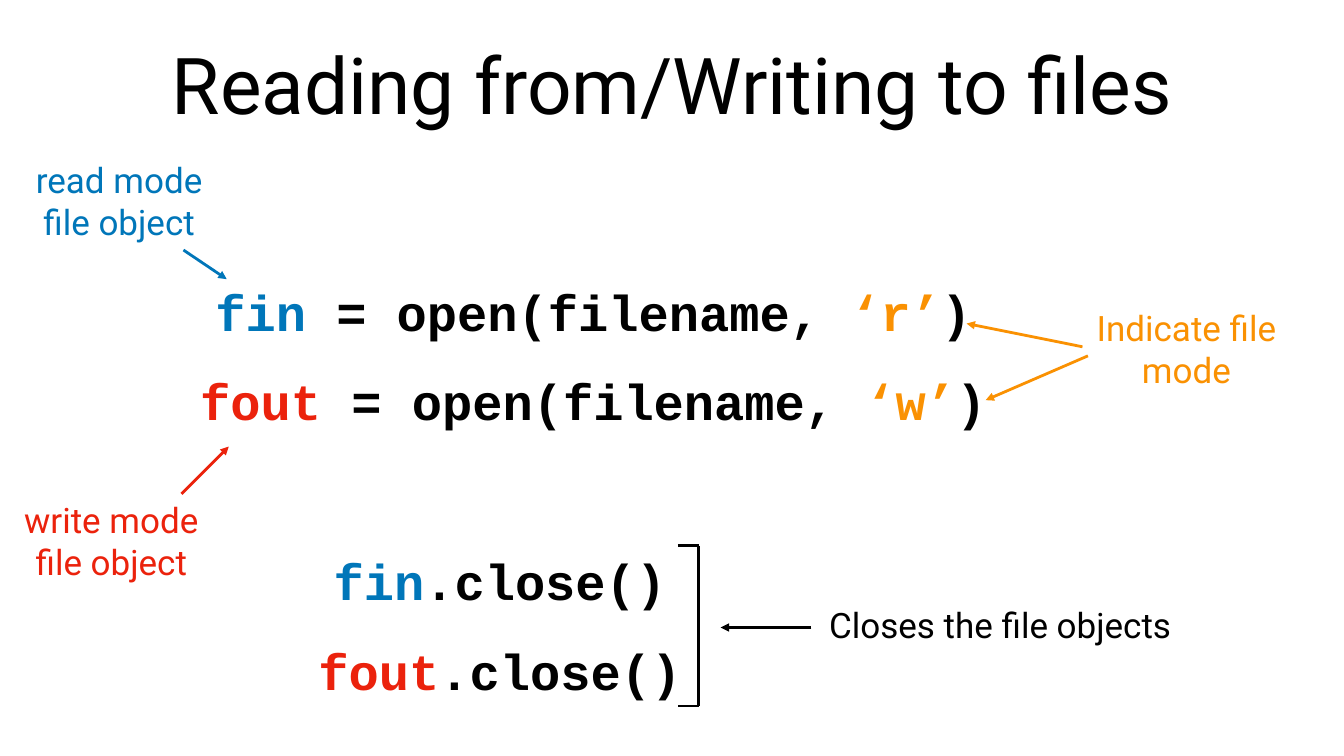
from dataclasses import dataclass

from lxml.etree import SubElement
from pptx import Presentation
from pptx.dml.color import RGBColor
from pptx.enum.shapes import MSO_CONNECTOR as Connector
from pptx.enum.text import MSO_ANCHOR as Anchor, MSO_AUTO_SIZE as AutoSize, PP_ALIGN as Align
from pptx.oxml.ns import qn
from pptx.util import Inches, Pt

BLACK, BLUE, RED, ORANGE = "000000", "0076B9", "EB220C", "FA9102"
TEXT_FONT, CODE_FONT = "Roboto", "Courier New"


@dataclass
class Box:
    left: float
    top: float
    width: float
    height: float

    def point(self, x, y):
        """Turn percentages of this box into a slide position."""
        return int(self.left + self.width * x / 100), int(self.top + self.height * y / 100)

    def inner(self, left, top, width, height):
        """Give the inner box at percentages of this box."""
        return Box(*self.point(left, top), int(self.width * width / 100), int(self.height * height / 100))


def color(hex_string):
    return RGBColor.from_string(hex_string)


def write_text(shape, lines, size=50, font=TEXT_FONT, bold=False, gap=0):
    """Fill a shape with lines, each a list of (text, colour) runs."""
    frame = shape.text_frame
    frame.word_wrap = True
    frame.auto_size = AutoSize.NONE
    frame.vertical_anchor = Anchor.MIDDLE
    frame.margin_left = frame.margin_right = frame.margin_top = frame.margin_bottom = Inches(0.06)
    for index, runs in enumerate(lines):
        paragraph = frame.add_paragraph() if index else frame.paragraphs[0]
        paragraph.alignment = Align.CENTER
        paragraph.line_spacing = 1.0
        paragraph.space_before = Pt(gap if index else 0)
        for text, hex_string in runs:
            run = paragraph.add_run()
            run.text = text
            run.font.name, run.font.size, run.font.bold = font, Pt(size), bold
            run.font.color.rgb = color(hex_string)


def add_text(slide, box, lines, **text_format):
    shape = slide.shapes.add_textbox(box.left, box.top, box.width, box.height)
    write_text(shape, lines, **text_format)


def add_code(slide, box, lines):
    add_text(slide, box, lines, size=72, font=CODE_FONT, bold=True, gap=42)


def add_line(slide, start, end, hex_string, arrow=False):
    connector = slide.shapes.add_connector(Connector.STRAIGHT, *start, *end)
    connector.line.color.rgb = color(hex_string)
    connector.line.width = Pt(4)
    properties = connector._element.spPr
    if arrow:
        SubElement(properties.find(qn("a:ln")), qn("a:tailEnd"), type="triangle")
    SubElement(properties, qn("a:effectLst"))


def add_title(slide, box):
    title = slide.shapes.title
    title.left, title.top, title.width, title.height = box.left, box.top, box.width, box.height
    write_text(title, [[("Reading from/Writing to files", BLACK)]], size=112)


def add_open_section(slide, box):
    add_code(slide, box.inner(13.42, 23.23, 61.45, 47.31), [
        [(name, name_color), (" = open(filename, ", BLACK), (mode, ORANGE), (")", BLACK)]
        for name, name_color, mode in (("fin", BLUE, "‘r’"), ("fout", RED, "‘w’"))
    ])
    for text, hex_string, place in (
        ("Indicate file mode", ORANGE, (80.61, 32.58, 15.34, 25.48)),
        ("read mode file object", BLUE, (1.2, 1.08, 15.34, 25.48)),
        ("write mode file object", RED, (-0.22, 72.79, 17.02, 26.89)),
    ):
        add_text(slide, box.inner(*place), [[(text, hex_string)]])
    for hex_string, start, end in (
        (ORANGE, (80.54, 44.95), (71.92, 40)),
        (ORANGE, (80.95, 46.89), (73.34, 56.34)),
        (RED, (13.5, 76.34), (17.02, 66.24)),
        (BLUE, (13.65, 24.31), (16.87, 30.53)),
    ):
        add_line(slide, box.point(*start), box.point(*end), hex_string, arrow=True)


def add_close_section(slide, box):
    add_code(slide, box.inner(3.46, 0, 42.21, 97.77), [
        [(name, name_color), (".close()", BLACK)]
        for name, name_color in (("fin", BLUE), ("fout", RED))
    ])
    left, right, top, bottom = 43.47, 45.71, 14, 84.67
    corners = [(left, top), (right, top), (right, bottom), (left, bottom)]
    for start, end in zip(corners, corners[1:]):
        add_line(slide, box.point(*start), box.point(*end), BLACK)
    add_text(slide, box.inner(57.46, 22.43, 40.6, 52.67), [[("Closes the file objects", BLACK)]])
    add_line(slide, box.point(57.67, 50), box.point(48.03, 50), BLACK, arrow=True)


def main():
    presentation = Presentation()
    presentation.slide_width, presentation.slide_height = Inches(26.67), Inches(15)
    slide = presentation.slides.add_slide(presentation.slide_layouts.get_by_name("Title Only"))
    page = Box(0, 0, presentation.slide_width, presentation.slide_height)
    add_title(slide, page.inner(6.94, 2.6, 86.13, 16.67))
    add_open_section(slide, page.inner(0, 18, 100, 62))
    add_close_section(slide, page.inner(20, 68, 70, 30))
    presentation.save("out.pptx")


if __name__ == "__main__":
    main()
